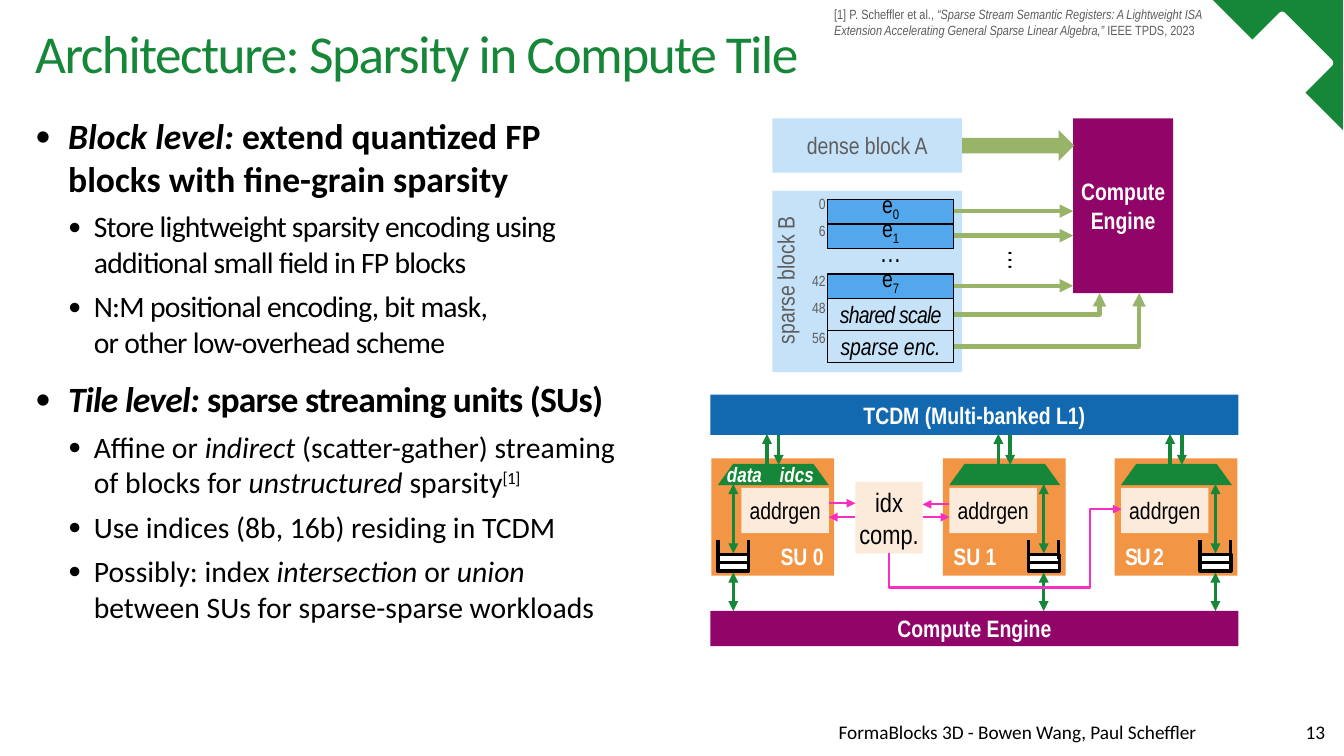
import lxml.etree
import pptx
import pptx.dml.color
import pptx.enum.shapes
import pptx.enum.text
import pptx.oxml.ns
import pptx.util

COLS, ROWS = 126, 70.9
KIND = pptx.enum.shapes.MSO_SHAPE
LINK = pptx.enum.shapes.MSO_CONNECTOR
ALIGN = pptx.enum.text.PP_ALIGN
ANCHOR = pptx.enum.text.MSO_ANCHOR
GREEN, OLIVE, PLUM, PINK = "168638", "97B468", "910569", "F82EBE"
SKY, BLUE, NAVY = "C6E2F9", "53A8ED", "1269B0"
ORANGE, CREAM, GRAY = "F29545", "FCEADA", "5D5D5D"
BLACK, WHITE = "000000", "FFFFFF"
NONE = (0, 0, 0, 0)
LOW = (0, 0, 0, 0.2)
SLIM = (0, 0, 0.2, 0)
EVEN = (0.2, 0.2, 0.2, 0.2)
ITAL = {"italic": True}


def cell(count):
    """Turn a count of grid columns or rows into a length."""
    return pptx.util.Inches(count / 10)


def hue(code):
    """Turn a hex string into a colour."""
    return pptx.dml.color.RGBColor.from_string(code)


def node(parent, tag, **attrs):
    """Add a drawing element to a parent."""
    return lxml.etree.SubElement(parent, pptx.oxml.ns.qn(tag), attrs)


def look(size, color=BLACK, name="Arial Narrow", **more):
    """Make a dict of format values for text."""
    return {"size": pptx.util.Pt(size), "color": color, "name": name, **more}


def style(run, form):
    """Set the format values of a run."""
    for key, value in form.items():
        if key == "color":
            run.font.color.rgb = hue(value)
        elif key in ("spc", "baseline"):
            run._r.get_or_add_rPr().set(key, str(value))
        else:
            setattr(run.font, key, value)


def fill(para, parts, form):
    """Fill a paragraph with a string or with pairs of text and format."""
    pairs = [(parts, {})] if isinstance(parts, str) else parts
    for text, extra in pairs:
        for num, line in enumerate(text.split("\n")):
            if num:
                para.add_line_break()
            if line:
                run = para.add_run()
                run.text = line
                style(run, {**form, **extra})


def frame(shape, pad=NONE, anchor=ANCHOR.MIDDLE, wrap=True):
    """Set the margins, anchor and wrap of a text frame."""
    area = shape.text_frame
    sides = ("margin_left", "margin_top", "margin_right", "margin_bottom")
    for side, gap in zip(sides, pad):
        setattr(area, side, cell(gap))
    area.vertical_anchor, area.word_wrap = anchor, wrap
    return area


def write(shape, parts, form, align=ALIGN.CENTER, **layout):
    """Write one paragraph into a shape."""
    para = frame(shape, **layout).paragraphs[0]
    para.alignment = align
    fill(para, parts, form)


def block(slide, spot, color=None, kind=KIND.RECTANGLE, edge=0, turn=0, adj=None):
    """Draw a preset shape with a plain fill and an optional black edge."""
    shape = slide.shapes.add_shape(kind, *map(cell, spot))
    shape.shadow.inherit = False
    shape.rotation = turn
    if adj is not None:
        shape.adjustments[0] = adj
    if color:
        shape.fill.solid()
        shape.fill.fore_color.rgb = hue(color)
    else:
        shape.fill.background()
    if edge:
        shape.line.color.rgb = hue(BLACK)
        shape.line.width = pptx.util.Pt(edge)
    else:
        shape.line.fill.background()
    return shape


def label(slide, spot, parts, form, turn=0, **layout):
    """Place a text box."""
    box = slide.shapes.add_textbox(*map(cell, spot))
    box.rotation = turn
    write(box, parts, form, **layout)


def link(slide, ends, color, width, tips="tail", kind=LINK.STRAIGHT, adj=()):
    """Draw a connector with arrowheads at the named tips."""
    line = slide.shapes.add_connector(kind, *map(cell, ends))
    line.line.color.rgb = hue(color)
    line.line.width = pptx.util.Pt(width)
    props = line._element.spPr
    for tip in tips.split():
        node(line.line._get_or_add_ln(), f"a:{tip}End", type="triangle")
    node(props, "a:effectLst")
    guides = props.prstGeom.get_or_add_avLst()
    for num, value in enumerate(adj, 1):
        node(guides, "a:gd", name=f"adj{num}", fmla=f"val {value}")
    return line


def corner(slide):
    """Draw the corner ornament."""
    block(slide, (113.7, 0, 12.2, 12.2), GREEN, KIND.ISOSCELES_TRIANGLE, turn=270, adj=1)
    for spot in ((114.6, 3.9, 3.9, 3.9), (116.7, 2.4, 7, 7)):
        block(slide, spot, WHITE, KIND.ROUNDED_RECTANGLE, turn=45, adj=0.05)


def bullets(slide):
    """Write the bullet list."""
    tight, bold = {"spc": -50}, {"bold": True}
    lead = {**bold, **ITAL}
    items = [
        (0, [("Block level: ", lead), ("extend quantized FP\nblocks with fine-grain sparsity", bold)]),
        (1, [("Store lightweight sparsity encoding using\nadditional small field in FP blocks", tight)]),
        (1, [("N:M positional encoding, bit mask,\nor other low-overhead scheme", tight)]),
        (0, [("Tile level: ", {**lead, **tight}), ("sparse streaming units (SUs)", {**bold, **tight})]),
        (1, [("Affine or ", {}), ("indirect", ITAL), (" (scatter-gather) streaming\nof blocks for ", {}),
             ("unstructured", ITAL), (" sparsity", {}), ("[1]", {"baseline": 30000, **tight})]),
        (1, "Use indices (8b, 16b) residing in TCDM"),
        (1, [("Possibly: index ", {}), ("intersection ", ITAL), ("or ", {}), ("union\n", ITAL),
             ("between SUs for sparse-sparse workloads", {})]),
    ]
    box = slide.shapes.add_textbox(*map(cell, (3.3, 10.2, 60, 50.5)))
    area = frame(box, (0, 0.5, 0, 0.5), ANCHOR.TOP)
    for num, (level, parts) in enumerate(items):
        para = area.add_paragraph() if num else area.paragraphs[0]
        para.level = level
        props = para._p.get_or_add_pPr()
        props.set("marL", str(cell((3.1, 5.5)[level])))
        props.set("indent", str(cell((-3.1, -2.4)[level])))
        node(props, "a:buSzPct", val="90000")
        node(props, "a:buFont", typeface="Calibri")
        node(props, "a:buChar", char="•")
        para.space_before = pptx.util.Pt((12, 6)[level] if num else 0)
        fill(para, parts, look((24, 20)[level], name="Calibri"))


def blocks(slide):
    """Draw the dense and sparse blocks feeding the engine."""
    note, text, dots = look(16, GRAY), look(16), look(18)
    block(slide, (72.4, 17.9, 17.8, 17), SKY)
    engine = block(slide, (100.6, 11.1, 9.4, 16.4), PLUM)
    write(engine, "Compute\nEngine", look(16, WHITE, bold=True))
    for row in (19.8, 22.1, 26.8):
        link(slide, (89.4, row, 100.6, row), OLIVE, 3)
    for row, col in ((29.5, 103.1), (32.5, 106.8)):
        link(slide, (89.4, row, col, 27.5), OLIVE, 3, kind=LINK.ELBOW, adj=(99900,))
    fields = [
        (18.7, 2.3, "0", 18.3, [("e", {}), ("0", {"baseline": -25000})], BLUE),
        (21, 2.3, "6", 20.8, [("e", {}), ("1", {"baseline": -25000})], BLUE),
        (25.7, 2.3, "42", 25.5, [("e", {}), ("7", {"baseline": -25000})], BLUE),
        (28, 3, "48", 28, [("shared scale", {"spc": -50, **ITAL})], None),
        (31, 3, "56", 30.8, [("sparse enc.", ITAL)], None),
    ]
    for top, tall, bit, row, parts, color in fields:
        field = block(slide, (77.6, top, 11.8, tall), color, edge=1)
        write(field, parts, text, pad=LOW, anchor=ANCHOR.BOTTOM)
        label(slide, (75.6, row, 2, 1.8), bit, look(10, GRAY), pad=SLIM,
              align=ALIGN.RIGHT, anchor=ANCHOR.TOP, wrap=False)
    for spot, turn in (((77.6, 23, 11.8, 2.3), 0), ((89.4, 23.3, 11.2, 2.3), 90)):
        label(slide, spot, "…", dots, turn, pad=LOW, anchor=ANCHOR.BOTTOM)
    label(slide, (65.1, 25.1, 17, 2.4), "sparse block B", note, 270, wrap=False)
    write(block(slide, (72.4, 11.1, 17.8, 5.1), SKY), "dense block A", note)
    block(slide, (90.2, 12.2, 10.5, 2.9), OLIVE, KIND.RIGHT_ARROW)


def unit(slide, left, name, first):
    """Draw one streaming unit with its queue and arrows."""
    queue, gen = left + (0.6 if first else 8), left + (2.8 if first else 0.6)
    side = ALIGN.RIGHT if first else ALIGN.LEFT
    body = block(slide, (left, 43, 11.5, 11), ORANGE)
    write(body, name, look(16, WHITE, bold=True, spc=-100 if name == "SU 2" else 0),
          side, pad=(1, 0.5, 1, 0.5), anchor=ANCHOR.BOTTOM)
    write(block(slide, (gen, 45.75, 8.2, 4.25), CREAM), "addrgen", look(16), pad=EVEN)
    block(slide, (left + 0.6, 43.5, 10.4, 2), GREEN, KIND.TRAPEZOID, adj=0.72)
    for top, end in ((45.4, 51.9), (53.7, 57.3)):
        link(slide, (queue + 1.45, top, queue + 1.45, end), GREEN, 2.25, "head tail")
    for row in (52, 52.75):
        block(slide, (queue, row, 2.9, 0.8), WHITE, edge=2.25)
    for col in (queue, queue + 2.85):
        link(slide, (col, 52.4, col, 50.6), BLACK, 2.25, "")
    for col, start, end in ((5.2, 43.8, 40.7), (6.3, 40.5, 43.6)):
        link(slide, (left + col, start, left + col, end), GREEN, 2.25)


def tile(slide):
    """Draw the streaming units between memory and engine."""
    for left, name in ((66.7, "SU 0"), (88.4, "SU 1"), (104.5, "SU 2")):
        unit(slide, left, name, name == "SU 0")
    write(block(slide, (80.2, 45.2, 6.3, 6.7), CREAM), "idx\ncomp.", look(18), pad=EVEN)
    for top, tall, color, name in ((37, 3.8, NAVY, "TCDM (Multi-banked L1)"),
                                   (57.3, 3.3, PLUM, "Compute Engine")):
        write(block(slide, (66.6, top, 49.5, tall), color), name, look(16, WHITE, bold=True))
    for start, end, row in ((77.7, 80.2, 47.2), (80.2, 77.7, 48.5),
                            (89, 86.5, 47.3), (86.5, 89, 48.5)):
        link(slide, (start, row, end, row), PINK, 1.5)
    route = link(slide, (96.3, 60.7, 92.2, 38.9), PINK, 1.5, kind=LINK.ELBOW, adj=(-79600, 86300))
    route._element.spPr.xfrm.set("rot", "5400000")
    route._element.spPr.prstGeom.set("prst", "bentConnector4")
    for left, name in ((67.4, "data"), (72.3, "idcs")):
        label(slide, (left, 43.3, 5, 2.4), name, look(14, WHITE, bold=True, italic=True),
              pad=SLIM, anchor=ANCHOR.TOP, wrap=False)


def main():
    """Build the slide and save it."""
    deck = pptx.Presentation()
    deck.slide_width, deck.slide_height = cell(COLS), cell(ROWS)
    slide = deck.slides.add_slide(deck.slide_layouts[5])
    corner(slide)
    title = slide.shapes.title
    title.left, title.top, title.width, title.height = map(cell, (3.3, 1.9, 74, 6.8))
    write(title, "Architecture: Sparsity in Compute Tile",
          look(36, GREEN, "Calibri", spc=-100), ALIGN.LEFT)
    title.text_frame.paragraphs[0].line_spacing = 0.9
    bullets(slide)
    for spot, text in (((38.3, 67.1, 74.8, 3.1), "FormaBlocks 3D - Bowen Wang, Paul Scheffler"),
                       ((119.3, 67.1, 5.9, 3.1), "13")):
        label(slide, spot, text, look(13, name="Calibri"), align=ALIGN.RIGHT,
              pad=(1, 0.5, 1, 0.5), anchor=ANCHOR.BOTTOM)
    blocks(slide)
    tile(slide)
    cite = [("[1] P. Scheffler et al., ", {}),
            ("“Sparse Stream Semantic Registers: A Lightweight ISA\n"
             "Extension Accelerating General Sparse Linear Algebra,”", ITAL),
            (" IEEE TPDS, 2023", {})]
    label(slide, (78.2, 0.6, 35.6, 3.2), cite, look(9, GRAY), align=ALIGN.LEFT,
          anchor=ANCHOR.TOP, wrap=False)
    deck.save("out.pptx")


if __name__ == "__main__":
    main()
